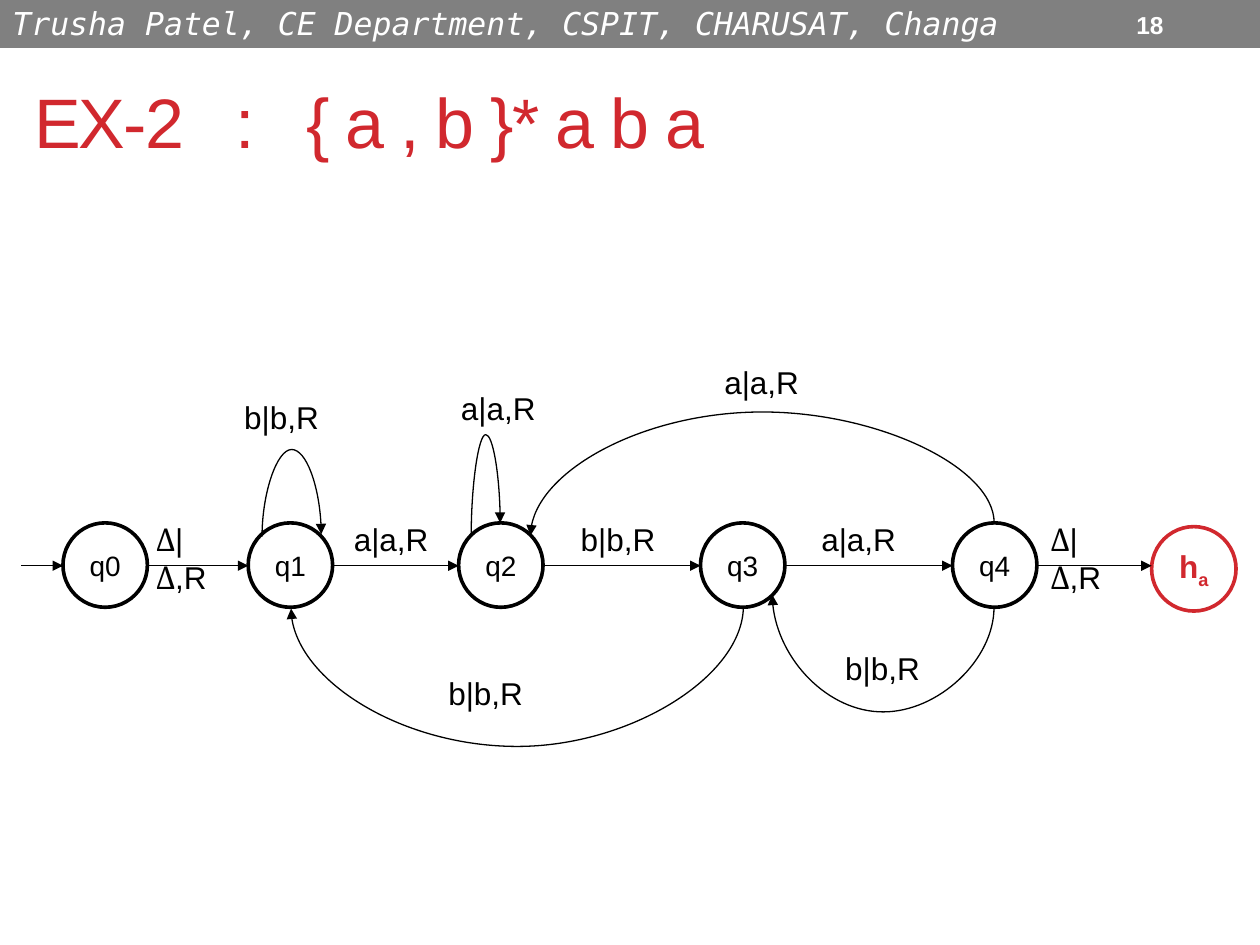
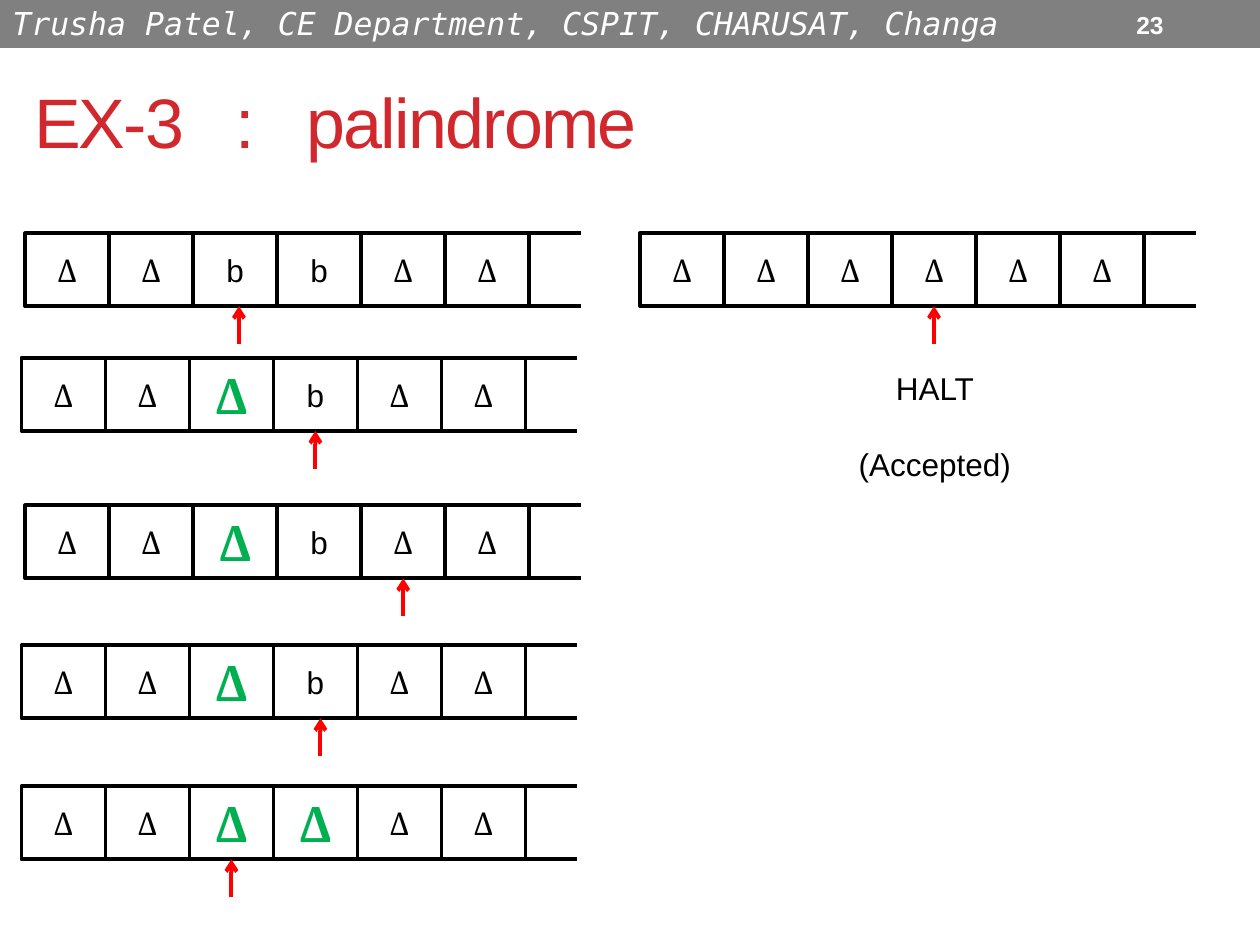
from itertools import groupby, pairwise

from lxml.etree import SubElement
from pptx import Presentation
from pptx.dml.color import RGBColor
from pptx.enum.shapes import MSO_CONNECTOR, MSO_SHAPE
from pptx.enum.text import MSO_ANCHOR, MSO_AUTO_SIZE, PP_ALIGN
from pptx.oxml.ns import qn
from pptx.util import Inches, Pt

BLACK = RGBColor(0x00, 0x00, 0x00)
WHITE = RGBColor(0xFF, 0xFF, 0xFF)
GRAY = RGBColor(0x80, 0x80, 0x80)
CRIMSON = RGBColor(0xD1, 0x28, 0x2E)
RED = RGBColor(0xFF, 0x00, 0x00)
GREEN = RGBColor(0x00, 0xB0, 0x50)

HEADER = "Trusha Patel, CE Department, CSPIT, CHARUSAT, Changa"
MACHINE_TITLE, MACHINE_NUMBER = "EX-2   :   { a , b }* a b a", "18"
TAPES_TITLE, TAPES_NUMBER = "EX-3   :   palindrome", "23"
VERDICT = ["HALT", "(Accepted)"]

BODY = {"name": "Arial", "size": Pt(18)}
STATE_FONT = {"name": "Arial", "size": Pt(16)}
HALT_FONT = {"name": "Arial", "size": Pt(18), "bold": True}
NUMBER_FONT = {"name": "Arial", "size": Pt(14), "bold": True}
TITLE_FONT = {"name": "Arial", "size": Pt(40)}
HEADER_FONT = {"name": "DejaVu Sans Mono", "size": Pt(18), "italic": True}
WRITTEN_FONT = {"name": "Arial", "size": Pt(28), "bold": True}

STATE_SIZE = 0.67
AXIS = 4.49
STATES = [("q0", 0.5, 4.15), ("q1", 1.97, 4.15), ("q2", 3.64, 4.15),
          ("q3", 5.56, 4.15), ("q4", 7.56, 4.15)]
HALT_STATE = (9.14, 4.18)
START_X = 0.17
BENDS = [
    ((2.08, 4.26), (2.55, 4.24), 3.57),
    ((3.74, 4.25), (3.97, 4.15), 3.45),
    ((5.9, 4.81), (2.31, 4.83), 5.92),
    ((7.89, 4.82), (6.13, 4.72), 5.65),
    ((7.89, 4.15), (4.21, 4.25), 3.27),
]
LABELS = [
    ("Δ|Δ,R", 1.14, 4.08), ("a|a,R", 2.71, 4.08), ("b|b,R", 4.51, 4.08),
    ("a|a,R", 6.42, 4.08), ("Δ|Δ,R", 8.24, 4.08), ("b|b,R", 1.84, 3.11),
    ("a|a,R", 3.56, 3.04), ("a|a,R", 5.65, 2.83), ("b|b,R", 3.46, 5.3),
    ("b|b,R", 6.61, 5.1),
]

CELL_WIDTH, CELL_HEIGHT = 2 / 3, 0.58
OPEN_START, OPEN_END = 3.66, 4.41
HEAD_LENGTH = 0.3
TAPES = [
    {"at": (0.2, 1.85), "symbols": "ΔΔbbΔΔ", "written": (), "head": 2, "shift": 0.03},
    {"at": (0.17, 2.84), "symbols": "ΔΔΔbΔΔ", "written": (2,), "head": 3, "shift": 0},
    {"at": (0.2, 4.01), "symbols": "ΔΔΔbΔΔ", "written": (2,), "head": 4, "shift": 0},
    {"at": (0.17, 5.12), "symbols": "ΔΔΔbΔΔ", "written": (2,), "head": 3, "shift": 0.04},
    {"at": (0.17, 6.24), "symbols": "ΔΔΔΔΔΔ", "written": (2, 3), "head": 2, "shift": 0},
    {"at": (5.08, 1.85), "symbols": "ΔΔΔΔΔΔ", "written": (), "head": 3, "shift": 0},
]


def apply(target, values):
    for name, value in values.items():
        setattr(target, name, value)


def write(paragraph, text, font, color):
    for is_delta, letters in groupby(text, lambda letter: letter == "Δ"):
        run = paragraph.add_run()
        run.text = "".join(letters)
        apply(run.font, font)
        run.font.color.rgb = color
        if is_delta:
            run.font.name = "Cambria"
    return run


def add_box(slide, preset, place, line_color, line_width):
    shape = slide.shapes.add_shape(preset, *map(Inches, place))
    shape.shadow.inherit = False
    shape.fill.background()
    shape.line.color.rgb = line_color
    shape.line.width = Pt(line_width)
    return shape


def add_centred(slide, preset, place, text, font, color, line_color):
    shape = add_box(slide, preset, place, line_color, 2.08)
    apply(shape.text_frame, {
        "word_wrap": False, "vertical_anchor": MSO_ANCHOR.MIDDLE,
        "margin_left": 0, "margin_right": 0,
    })
    paragraph = shape.text_frame.paragraphs[0]
    paragraph.alignment = PP_ALIGN.CENTER
    write(paragraph, text, font, color)
    return shape


def add_text(slide, place, lines, font, color, frame_format, paragraph_format):
    frame = slide.shapes.add_textbox(*map(Inches, place)).text_frame
    apply(frame, frame_format)
    for index, text in enumerate(lines):
        paragraph = frame.add_paragraph() if index else frame.paragraphs[0]
        apply(paragraph, paragraph_format)
        write(paragraph, text, font, color)
    return frame


def add_line(slide, start, end, color=BLACK, width=0.75, arrow=None,
             kind=MSO_CONNECTOR.STRAIGHT):
    connector = slide.shapes.add_connector(kind, *map(Inches, (*start, *end)))
    connector.line.color.rgb = color
    connector.line.width = Pt(width)
    if arrow:
        SubElement(connector.line._ln, qn("a:tailEnd"), type=arrow)
    SubElement(connector._element.spPr, qn("a:effectLst"))
    return connector


def add_bend(slide, start, end, bend_y):
    connector = add_line(slide, start, end, arrow="triangle", kind=MSO_CONNECTOR.CURVE)
    (x1, y1), (x2, y2) = start, end
    length, span = abs(y2 - y1), abs(x2 - x1)
    apply(connector, {
        "left": Inches((x1 + x2 - length) / 2), "top": Inches((y1 + y2 - span) / 2),
        "width": Inches(length), "height": Inches(span),
    })
    properties = connector._element.spPr
    transform = properties.find(qn("a:xfrm"))
    apply(transform, {"rot": 90, "flipH": y2 < y1, "flipV": x2 > x1})
    guides = properties.find(qn("a:prstGeom")).get_or_add_avLst()
    ratio = round((bend_y - y1) / (y2 - y1) * 100000)
    SubElement(guides, qn("a:gd"), name="adj1", fmla=f"val {ratio}")


def add_header(slide, layout):
    band = add_box(slide, MSO_SHAPE.RECTANGLE, (0, -0.02, 10, 0.4), GRAY, 0.75)
    band.fill.solid()
    band.fill.fore_color.rgb = GRAY
    frame = band.text_frame
    apply(frame, {"vertical_anchor": MSO_ANCHOR.TOP, "word_wrap": True,
                  "auto_size": MSO_AUTO_SIZE.SHAPE_TO_FIT_TEXT})
    frame.paragraphs[0].alignment = PP_ALIGN.LEFT
    write(frame.paragraphs[0], HEADER, HEADER_FONT, WHITE)
    layout.shapes._spTree.append(band._element)


def start_slide(presentation, layout, title_text, number):
    slide = presentation.slides.add_slide(layout)
    title = slide.shapes.title
    apply(title, {"left": Inches(0.17), "top": Inches(0.42),
                  "width": Inches(9.67), "height": Inches(1.08)})
    apply(title.text_frame, {"vertical_anchor": MSO_ANCHOR.MIDDLE, "word_wrap": True,
                             "auto_size": MSO_AUTO_SIZE.NONE})
    paragraph = title.text_frame.paragraphs[0]
    paragraph.alignment = PP_ALIGN.LEFT
    run = write(paragraph, title_text, TITLE_FONT, CRIMSON)
    run._r.get_or_add_rPr().set("spc", "-100")
    add_text(slide, (8.92, 0.02, 0.58, 0.35), [number], NUMBER_FONT, WHITE,
             {"word_wrap": True, "vertical_anchor": MSO_ANCHOR.MIDDLE}, {})
    return slide


def draw_machine(slide):
    for name, left, top in STATES:
        add_centred(slide, MSO_SHAPE.OVAL, (left, top, STATE_SIZE, STATE_SIZE),
                    name, STATE_FONT, BLACK, BLACK)
    halt = add_centred(slide, MSO_SHAPE.OVAL, (*HALT_STATE, STATE_SIZE, STATE_SIZE),
                       "h", HALT_FONT, CRIMSON, CRIMSON)
    subscript = write(halt.text_frame.paragraphs[0], "a", HALT_FONT, CRIMSON)
    subscript._r.get_or_add_rPr().set("baseline", "-25000")

    lefts = [left for _, left, _ in STATES] + [HALT_STATE[0]]
    add_line(slide, (START_X, AXIS), (lefts[0], AXIS), arrow="triangle")
    for left, following in pairwise(lefts):
        add_line(slide, (left + STATE_SIZE, AXIS), (following, AXIS), arrow="triangle")
    for bend in BENDS:
        add_bend(slide, *bend)
    for text, left, top in LABELS:
        add_text(slide, (left, top, 0.8, 0.4), [text], BODY, BLACK,
                 {"word_wrap": False, "auto_size": MSO_AUTO_SIZE.SHAPE_TO_FIT_TEXT}, {})


def draw_tape(slide, tape):
    left, top = tape["at"]
    bottom = top + CELL_HEIGHT
    cells = []
    for index, symbol in enumerate(tape["symbols"]):
        font, color = (WRITTEN_FONT, GREEN) if index in tape["written"] else (BODY, BLACK)
        place = (left + index * CELL_WIDTH, top, CELL_WIDTH, CELL_HEIGHT)
        cells.append(add_centred(slide, MSO_SHAPE.RECTANGLE, place, symbol, font, color, BLACK))
    for edge in (top, bottom):
        add_line(slide, (left + OPEN_START, edge), (left + OPEN_END, edge), width=2.25)
    head_x = left + (tape["head"] + 0.5) * CELL_WIDTH + tape["shift"]
    head = add_line(slide, (head_x, bottom + HEAD_LENGTH), (head_x, bottom),
                    RED, 2.25, "arrow")
    if not tape["shift"]:
        head.end_connect(cells[tape["head"]], 2)


def main():
    presentation = Presentation()
    presentation.slide_width, presentation.slide_height = Inches(10), Inches(7.5)
    layout = presentation.slide_layouts[5]

    machine = start_slide(presentation, layout, MACHINE_TITLE, MACHINE_NUMBER)
    add_header(machine, layout)
    draw_machine(machine)

    tapes = start_slide(presentation, layout, TAPES_TITLE, TAPES_NUMBER)
    for tape in TAPES:
        draw_tape(tapes, tape)
    verdict = add_text(tapes, (6.71, 2.88, 1.42, 1.01), VERDICT, BODY, BLACK,
                       {"word_wrap": False, "auto_size": MSO_AUTO_SIZE.SHAPE_TO_FIT_TEXT},
                       {"alignment": PP_ALIGN.CENTER})
    verdict.paragraphs[1].space_before = Pt(21.6)

    presentation.save("out.pptx")


if __name__ == "__main__":
    main()
